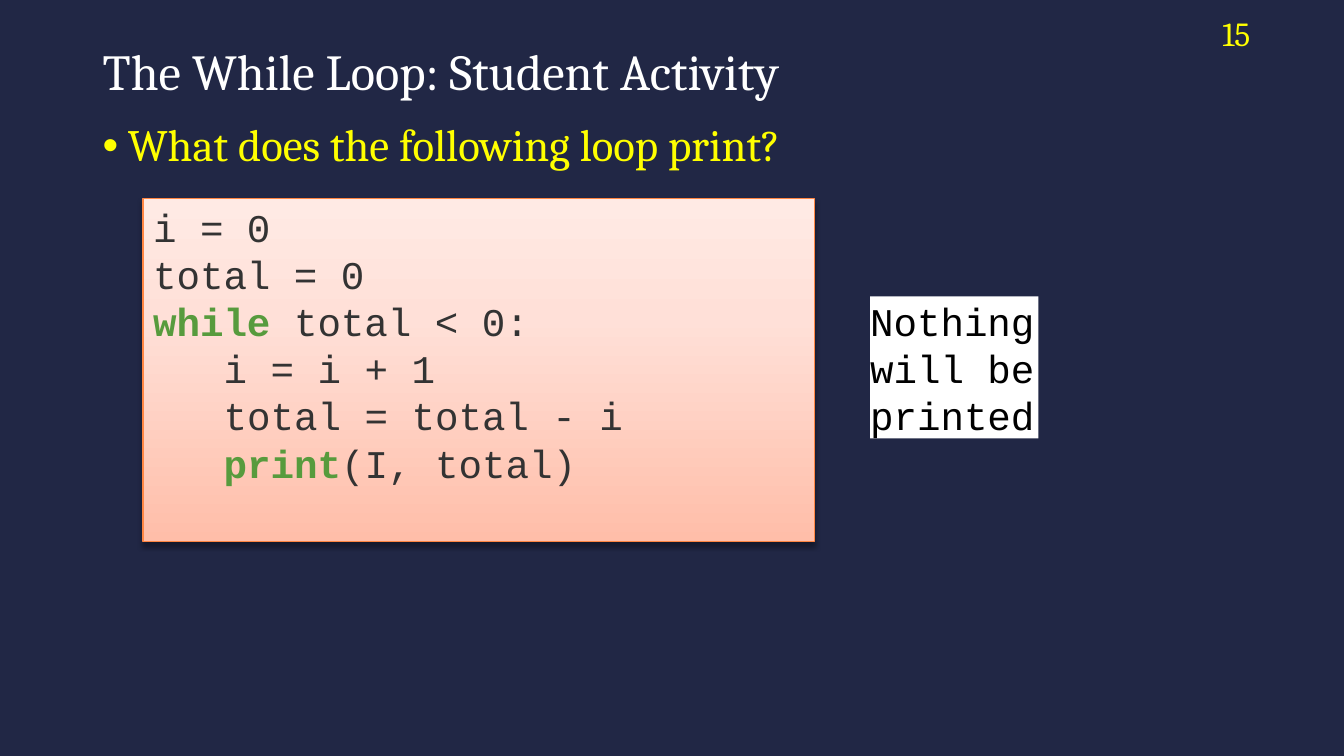
from lxml.etree import SubElement
from pptx import Presentation
from pptx.dml.color import RGBColor
from pptx.enum.shapes import MSO_SHAPE as Shape
from pptx.enum.text import MSO_ANCHOR as Anchor, PP_ALIGN as Align
from pptx.oxml.ns import qn
from pptx.util import Inches, Pt

SERIF, MONO = "Cambria", "Courier New"
WHITE, YELLOW, BLACK = "FFFFFF", "FFFF00", "000000"
CODE_COLOR, KEYWORD_COLOR = "333333", "579B3D"
CODE_SIZE = 28
CODE_INDENT = 0.7
CODE = [
    (0, "", "i = 0"),
    (0, "", "total = 0"),
    (0, "while", " total < 0:"),
    (1, "", "i = i + 1"),
    (1, "", "total = total - i"),
    (1, "print", "(I, total)"),
]


def color(value):
    """Turn a hex string into a colour."""
    return RGBColor.from_string(value)


def style(span, size, font, value, bold=False):
    """Set the font of one run."""
    span.font.size = Pt(size)
    span.font.name = font
    span.font.color.rgb = color(value)
    span.font.bold = bold


def indent(para, left, hanging=0, bullet=None):
    """Set a paragraph's indent in inches and its optional bullet."""
    props = para._p.get_or_add_pPr()
    props.set("marL", str(Inches(left)))
    props.set("indent", str(-Inches(hanging)))
    if bullet:
        SubElement(props, qn("a:buFont"), typeface="Arial")
        SubElement(props, qn("a:buChar"), char=bullet)


def add_text(page, place, text, size, value, anchor=Anchor.MIDDLE):
    """Add a wrapped text box with one serif paragraph and return the paragraph."""
    frame = page.shapes.add_textbox(*map(Inches, place)).text_frame
    frame.word_wrap = True
    frame.vertical_anchor = anchor
    frame.text = text
    para = frame.paragraphs[0]
    style(para.runs[0], size, SERIF, value)
    return para


def add_panel(page, place):
    """Add a plain rectangle without shadow."""
    panel = page.shapes.add_shape(Shape.RECTANGLE, *map(Inches, place))
    panel.shadow.inherit = False
    panel.text_frame.word_wrap = True
    return panel


def fill_gradient(shape, stops, angle):
    """Fill a shape with a linear gradient of (percent, colour) stops."""
    shape.fill.gradient()
    shape.fill.gradient_angle = angle
    stop_list = shape._element.spPr.find(qn("a:gradFill")).find(qn("a:gsLst"))
    for stop in list(stop_list):
        stop_list.remove(stop)
    for percent, value in stops:
        stop = SubElement(stop_list, qn("a:gs"), pos=str(percent * 1000))
        SubElement(stop, qn("a:srgbClr"), val=value)


def add_shadow(shape, value, percent, blur, distance):
    """Drop a soft shadow straight down from a shape."""
    effects = shape._element.spPr.find(qn("a:effectLst"))
    shadow = SubElement(effects, qn("a:outerShdw"), blurRad=str(Pt(blur)),
                        dist=str(Pt(distance)), dir="5400000", rotWithShape="0")
    tint = SubElement(shadow, qn("a:srgbClr"), val=value)
    SubElement(tint, qn("a:alpha"), val=str(percent * 1000))


def add_code(page, place, lines):
    """Add the code panel with highlighted keywords."""
    panel = add_panel(page, place)
    fill_gradient(panel, [(0, "FFBEA9"), (65, "FFE0D8"), (100, "FFEAE4")], 90)
    panel.line.color.rgb = color("FF8643")
    panel.line.width = Pt(1)
    add_shadow(panel, BLACK, 35, 4, 3)
    frame = panel.text_frame
    frame.vertical_anchor = Anchor.TOP
    for number, (level, keyword, rest) in enumerate(lines):
        para = frame.add_paragraph() if number else frame.paragraphs[0]
        para.alignment = Align.LEFT
        indent(para, level * CODE_INDENT)
        for text, value in ((keyword, KEYWORD_COLOR), (rest, CODE_COLOR)):
            if text:
                span = para.add_run()
                span.text = text
                style(span, CODE_SIZE, MONO, value, text == keyword)


def add_answer(page, place, text):
    """Add the white answer panel without margins."""
    panel = add_panel(page, place)
    panel.fill.solid()
    panel.fill.fore_color.rgb = color(WHITE)
    panel.line.fill.background()
    frame = panel.text_frame
    frame.margin_left = frame.margin_right = 0
    frame.margin_top = frame.margin_bottom = 0
    frame.vertical_anchor = Anchor.MIDDLE
    frame.text = text
    frame.paragraphs[0].alignment = Align.LEFT
    style(frame.paragraphs[0].runs[0], CODE_SIZE, MONO, BLACK)


def main():
    """Build the slide and save it."""
    deck = Presentation()
    deck.slide_width, deck.slide_height = Inches(13.33), Inches(7.5)
    page = deck.slides.add_slide(deck.slide_layouts[6])
    page.background.fill.solid()
    page.background.fill.fore_color.rgb = color("212745")

    title = add_text(page, (0.92, 0.4, 11.59, 0.68),
                     "The While Loop: Student Activity", 36, WHITE)
    title.line_spacing = 0.9
    question = add_text(page, (0.92, 1.17, 11.59, 5.58),
                        "What does the following loop print?", 32, YELLOW, Anchor.TOP)
    question.line_spacing = 0.9
    question.space_before = Pt(10)
    indent(question, 0.25, 0.25, "•")
    page_number = add_text(page, (11.73, 0.13, 0.77, 0.4), "15", 24, YELLOW)
    page_number.alignment = Align.RIGHT

    add_code(page, (1.42, 1.97, 6.66, 3.4), CODE)
    add_answer(page, (8.63, 2.94, 1.67, 1.41), "Nothing will be printed")
    deck.save("out.pptx")


main()
